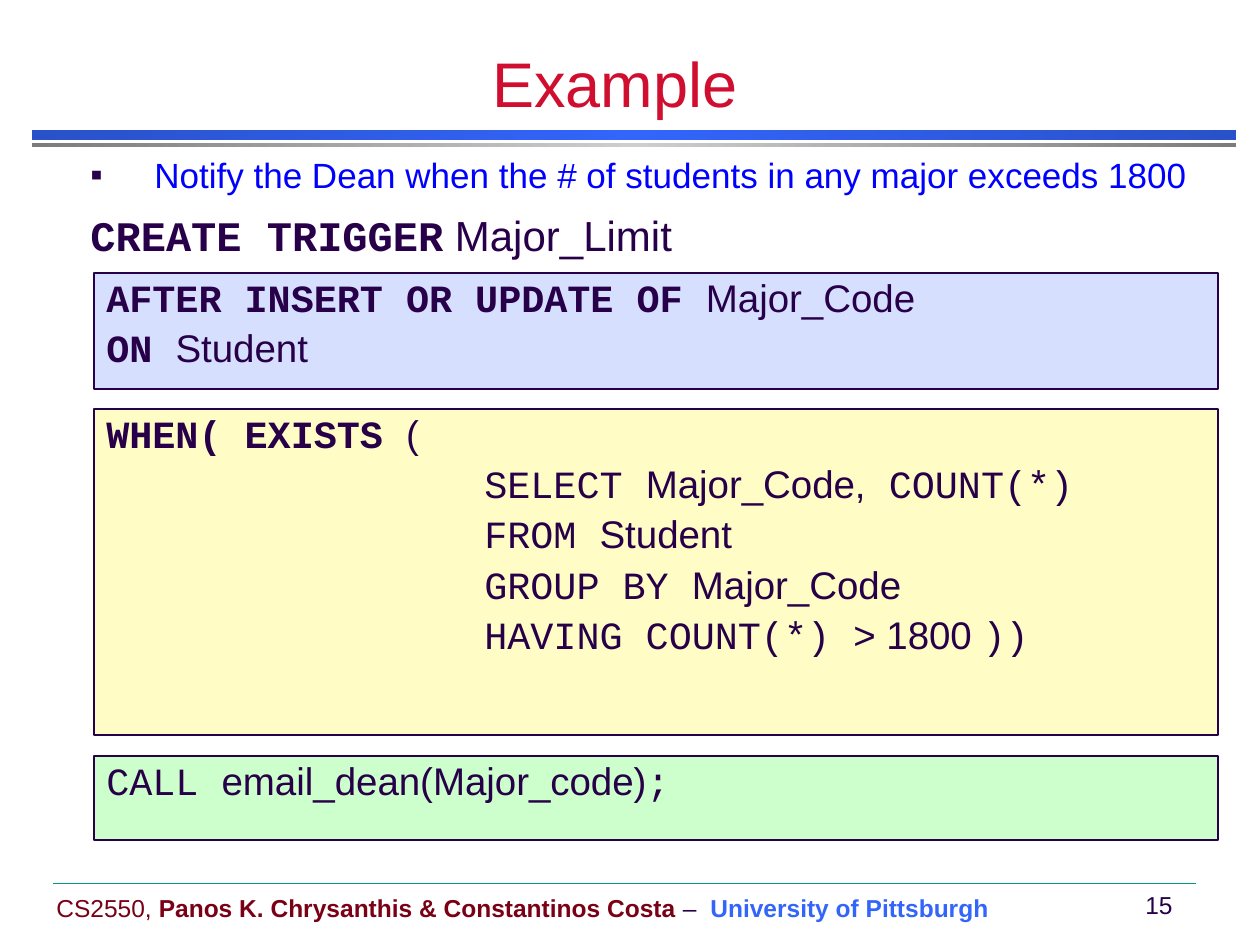
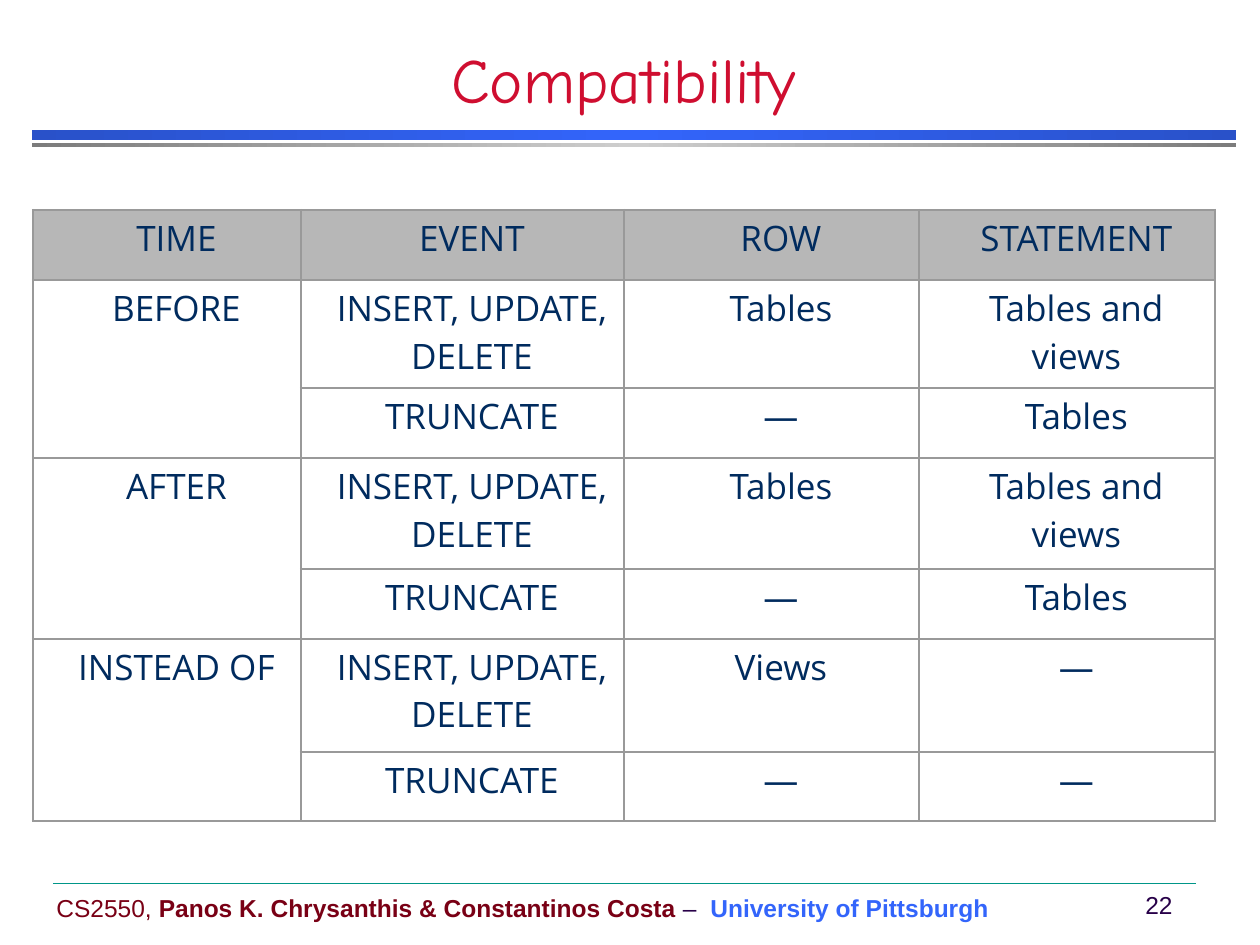
from copy import deepcopy

from lxml.etree import SubElement
from pptx import Presentation
from pptx.dml.color import RGBColor
from pptx.enum.shapes import MSO_CONNECTOR, MSO_SHAPE
from pptx.enum.text import MSO_ANCHOR, PP_ALIGN
from pptx.oxml.ns import qn
from pptx.util import Emu, Pt

SCALE = 914400 // 126
SLIDE_SIZE = (1260, 945)

INK = "280049"
RED = "CF0E30"
MAROON = "790015"
BLUE = "3365FB"
NAVY = "002B5E"
NOTICE = "0000FF"
GRID = "999999"
HEADER = "B7B7B7"
RULE = "009688"
SANS = "Arial"
CODE = "Courier New"
COMIC = "Comic Neue"
TABLE_FONT = "Open Sans"

BANDS = [
    ((32, 130, 1204, 10), ("2951C9", BLUE, "2951C9")),
    ((32, 143, 1204, 4), ("7C7C7C", "CECECE", "7C7C7C")),
]
CREDIT = [
    ("CS2550, ", SANS, False, MAROON),
    ("Panos K. Chrysanthis & Constantinos Costa", SANS, True, MAROON),
    (" –  ", SANS, False, INK),
    ("University of Pittsburgh", SANS, True, BLUE),
]

EVENT_CLAUSE = [
    (0, [("AFTER INSERT OR UPDATE OF ", CODE, True), ("Major_Code", SANS)]),
    (0, [("ON ", CODE, True), ("Student", SANS)]),
]
CONDITION_CLAUSE = [
    (0, [("WHEN( EXISTS ", CODE, True), ("(", SANS)]),
    (378, [("SELECT ", CODE), ("Major_Code,", SANS), (" COUNT(*)", CODE)]),
    (378, [("FROM ", CODE), ("Student", SANS)]),
    (378, [("GROUP BY ", CODE), ("Major_Code", SANS)]),
    (378, [("HAVING COUNT(*) ", CODE), ("> 1800 ", SANS), ("))", CODE)]),
]
ACTION_CLAUSE = [
    (0, [("CALL ", CODE), ("email_dean(Major_code)", SANS), (";", CODE)]),
]
CLAUSES = [
    (273, 116, "D6E0FE", EVENT_CLAUSE),
    (409, 326, "FFFDC5", CONDITION_CLAUSE),
    (756, 84, "CCFFCC", ACTION_CLAUSE),
]

CHANGES = "INSERT, UPDATE,\nDELETE"
COMPATIBILITY = [
    ("TIME", "EVENT", "ROW", "STATEMENT"),
    ("BEFORE", CHANGES, "Tables", "Tables and views"),
    ("", "TRUNCATE", "—", "Tables"),
    ("AFTER", CHANGES, "Tables", "Tables and views"),
    ("", "TRUNCATE", "—", "Tables"),
    ("INSTEAD OF", CHANGES, "Views", "—"),
    ("", "TRUNCATE", "—", "—"),
]
COLUMN_WIDTHS = (268, 323, 295, 296)
ROW_HEIGHTS = (70, 108, 70, 111, 70, 113, 69)


def px(length):
    """Turn pixels into EMU."""
    return Emu(length * SCALE)


def place(box):
    """Turn a pixel box into EMU lengths."""
    return [px(length) for length in box]


def rgb(value):
    """Turn a hex string into a colour."""
    return RGBColor.from_string(value)


def style(run, size, font, bold=False, color=INK):
    """Format one run."""
    run.font.size = Pt(size)
    run.font.name = font
    run.font.bold = bold
    run.font.color.rgb = rgb(color)


def write(paragraph, pieces, size):
    """Fill a paragraph with formatted runs."""
    for words, *look in pieces:
        run = paragraph.add_run()
        run.text = words
        style(run, size, *look)


def add_label(slide, box, pieces, size, align=PP_ALIGN.LEFT,
              anchor=MSO_ANCHOR.MIDDLE, wrap=True):
    """Add a one-paragraph text box."""
    frame = slide.shapes.add_textbox(*place(box)).text_frame
    frame.word_wrap = wrap
    frame.vertical_anchor = anchor
    frame.paragraphs[0].alignment = align
    write(frame.paragraphs[0], pieces, size)
    return frame


def add_rect(slide, box):
    """Add a rectangle without shadow."""
    rect = slide.shapes.add_shape(MSO_SHAPE.RECTANGLE, *place(box))
    rect.shadow.inherit = False
    return rect


def add_band(slide, box, colors):
    """Add a bar with a three-stop horizontal gradient."""
    band = add_rect(slide, box)
    band.line.fill.background()
    band.fill.gradient()
    band.fill.gradient_angle = 0
    stops = band.fill.gradient_stops
    for stop, color, position in zip(stops, colors, (0, 0.5)):
        stop.color.rgb = rgb(color)
        stop.position = position
    stop_list = band._element.spPr.find(".//" + qn("a:gsLst"))
    last = deepcopy(stop_list[0])
    last.set("pos", "100000")
    stop_list.append(last)


def add_footer(slide, box, number):
    """Add the footer rule, credit and slide number."""
    left, top, width, height = box
    rule = slide.shapes.add_connector(
        MSO_CONNECTOR.STRAIGHT, *place((left, top, left + width, top)))
    rule.line.color.rgb = rgb(RULE)
    rule.line.width = Pt(0.25)
    SubElement(rule._element.spPr, qn("a:effectLst"))
    add_label(slide, (left - 9, top + 3, 960, height), CREDIT, 14, wrap=False)
    add_label(slide, (left + 1075, top, 62, height),
              [(str(number), SANS)], 14, PP_ALIGN.CENTER, wrap=False)


def add_page(deck, title, font, title_top, anchor, number):
    """Add a slide with bands, footer and title."""
    slide = deck.slides.add_slide(deck.slide_layouts[6])
    for box, colors in BANDS:
        add_band(slide, box, colors)
    add_footer(slide, (53, 883, 1143, 43), number)
    add_label(slide, (0, title_top, 1247, 73), [(title, font, False, RED)],
              36, PP_ALIGN.CENTER, anchor)
    return slide


def add_intro(slide, box):
    """Add the bulleted task and the trigger's opening line."""
    task = [("Notify the Dean when the # of students in any major exceeds 1800",
             SANS, False, NOTICE)]
    frame = add_label(slide, box, task, 20, anchor=MSO_ANCHOR.TOP)
    bullet_line = frame.paragraphs[0]
    bullet_line.space_before = Pt(4)
    bullet_line.space_after = Pt(3)
    props = bullet_line._p.get_or_add_pPr()
    props.set("marL", str(px(64)))
    props.set("indent", str(-px(64)))
    bullet_color = SubElement(props, qn("a:buClr"))
    SubElement(bullet_color, qn("a:srgbClr")).set("val", INK)
    SubElement(props, qn("a:buFont")).set("typeface", SANS)
    SubElement(props, qn("a:buChar")).set("char", "▪")
    opening = frame.add_paragraph()
    opening.space_before = Pt(5)
    write(opening, [("CREATE TRIGGER", CODE, True), (" Major_Limit", SANS)], 24)


def add_clause(slide, box, fill, lines):
    """Add a filled box with one clause of the trigger."""
    clause = add_rect(slide, box)
    clause.fill.solid()
    clause.fill.fore_color.rgb = rgb(fill)
    clause.line.color.rgb = rgb(INK)
    clause.line.width = Pt(0.75)
    frame = clause.text_frame
    frame.word_wrap = True
    frame.vertical_anchor = MSO_ANCHOR.TOP
    for index, (indent, pieces) in enumerate(lines):
        line = frame.add_paragraph() if index else frame.paragraphs[0]
        line.alignment = PP_ALIGN.LEFT
        line.line_spacing = 0.9
        line.space_before = Pt(5)
        if indent:
            line._p.get_or_add_pPr().set("marL", str(px(indent)))
        write(line, pieces, 22)


def add_borders(cell):
    """Draw the grid line on all four sides of a cell."""
    props = cell._tc.get_or_add_tcPr()
    for index, side in enumerate(("a:lnL", "a:lnR", "a:lnT", "a:lnB")):
        border = SubElement(props, qn(side), w=str(Pt(1.5)))
        fill = SubElement(border, qn("a:solidFill"))
        SubElement(fill, qn("a:srgbClr")).set("val", GRID)
        props.insert(index, border)


def fill_cell(cell, words, is_header):
    """Format one table cell and write its words."""
    cell.margin_left = cell.margin_right = px(4)
    cell.margin_top = cell.margin_bottom = px(4)
    if is_header:
        cell.fill.solid()
        cell.fill.fore_color.rgb = rgb(HEADER)
    else:
        cell.fill.background()
    add_borders(cell)
    if not words:
        return
    paragraph = cell.text_frame.paragraphs[0]
    paragraph.text = words
    paragraph.alignment = PP_ALIGN.CENTER
    paragraph.space_before = paragraph.space_after = Pt(11)
    props = paragraph._p.get_or_add_pPr()
    props.set("marL", str(px(19)))
    props.set("indent", "0")
    for run in paragraph.runs:
        style(run, 20, TABLE_FONT, color=NAVY)


def add_compatibility_table(slide, left, top):
    """Add the table of trigger times, events and targets."""
    box = (left, top, sum(COLUMN_WIDTHS), sum(ROW_HEIGHTS))
    table = slide.shapes.add_table(
        len(ROW_HEIGHTS), len(COLUMN_WIDTHS), *place(box)).table
    table.first_row = table.horz_banding = False
    for column, width in zip(table.columns, COLUMN_WIDTHS):
        column.width = px(width)
    for row, height in zip(table.rows, ROW_HEIGHTS):
        row.height = px(height)
    for r, entries in enumerate(COMPATIBILITY):
        for c, words in enumerate(entries):
            fill_cell(table.cell(r, c), words, r == 0)
    for r in range(1, len(ROW_HEIGHTS), 2):
        table.cell(r, 0).merge(table.cell(r + 1, 0))


def build():
    """Build and save both slides."""
    deck = Presentation()
    deck.slide_width, deck.slide_height = place(SLIDE_SIZE)
    example = add_page(deck, "Example ", SANS, 53, MSO_ANCHOR.BOTTOM, 15)
    add_intro(example, (78, 147, 1182, 126))
    for top, height, fill, lines in CLAUSES:
        add_clause(example, (94, top, 1124, height), fill, lines)
    compatibility = add_page(
        deck, "Compatibility", COMIC, 42, MSO_ANCHOR.MIDDLE, 22)
    add_compatibility_table(compatibility, 33, 210)
    deck.save("out.pptx")


build()
